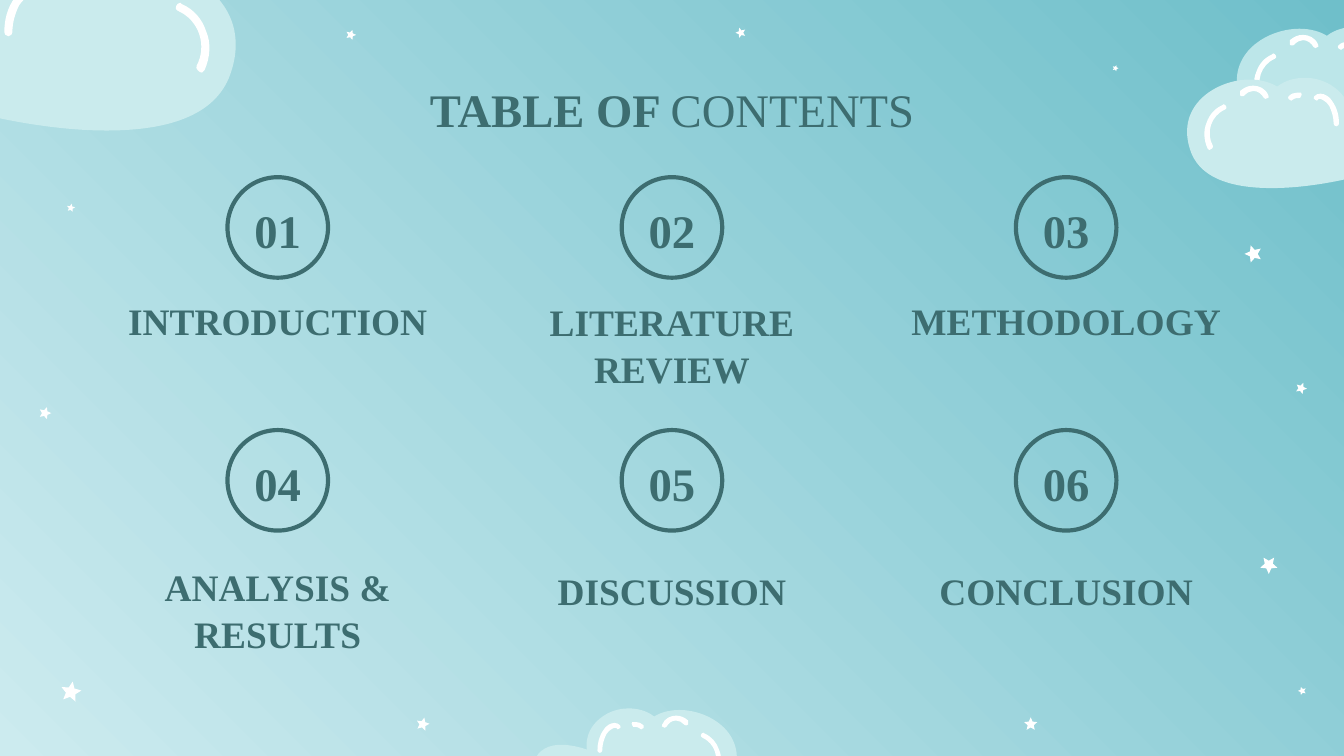
"""Build a table-of-contents slide with six numbered sections on a cloudy sky."""
import math
from dataclasses import dataclass

from lxml import etree
from pptx import Presentation
from pptx import util as u
from pptx.dml.color import RGBColor
from pptx.enum import shapes, text
from pptx.oxml import ns


@dataclass(frozen=True)
class Theme:
    font: str = "Times New Roman"
    ink: str = "3D6D70"
    white: str = "FFFFFF"
    cloud: str = "CAEBED"
    far_cloud: str = "BCE6E9"
    sky_low: str = "CCEBEF"
    sky_high: str = "6FBFCA"
    heading: int = 25
    label: int = 20


theme = Theme()
deck = Presentation()
deck.slide_width, deck.slide_height = u.Cm(25.4), u.Cm(14.29)
page = deck.slides.add_slide(deck.slide_layouts[5])


def draw_outline(points, color, curved=False):
    builder = page.shapes.build_freeform(*points[0])
    builder.add_line_segments(points[1:], close=True)
    shape = builder.convert_to_shape()
    shape.shadow.inherit = False
    shape.fill.solid()
    shape.fill.fore_color.rgb = RGBColor.from_string(color)
    shape.line.fill.background()
    if curved:
        lines = list(shape._element.iter(ns.qn("a:lnTo")))
        for first in range(0, len(lines) - 2, 3):
            curve = etree.Element(ns.qn("a:cubicBezTo"))
            lines[first].addprevious(curve)
            for line in lines[first:first + 3]:
                curve.append(line[0])
                line.getparent().remove(line)


def write_text(box, left, top, width, height, spans, size):
    box.left, box.top, box.width, box.height = (u.Cm(v) for v in (left, top, width, height))
    frame = box.text_frame
    frame.word_wrap = True
    frame.auto_size = text.MSO_AUTO_SIZE.NONE
    frame.vertical_anchor = text.MSO_ANCHOR.MIDDLE
    frame.margin_left = frame.margin_right = frame.margin_top = frame.margin_bottom = u.Cm(0.25)
    para = frame.paragraphs[0]
    para.alignment = text.PP_ALIGN.CENTER
    para.line_spacing = 1.05
    for words, bold in spans:
        span = para.add_run()
        span.text = words
        span.font.name, span.font.size, span.font.bold = theme.font, u.Pt(size), bold
        span.font.color.rgb = RGBColor.from_string(theme.ink)


page.background.fill.solid()
page.background.fill.fore_color.rgb = RGBColor.from_string(theme.cloud)
sky = page.shapes.add_shape(shapes.MSO_SHAPE.RECTANGLE, 0, 0, deck.slide_width, deck.slide_height)
sky.shadow.inherit = False
sky.line.fill.background()
sky.fill.gradient()
sky.fill.gradient_angle = 45
for stop, color in zip(sky.fill.gradient_stops, (theme.sky_low, theme.sky_high)):
    stop.color.rgb = RGBColor.from_string(color)

stars = [
    (23.69, 4.8, 0.17, -18), (24.61, 13.06, 0.08, -18), (23.98, 10.68, 0.17, 36),
    (6.63, 0.66, 0.1, 18), (0.85, 7.81, 0.12, 18), (14, 0.62, 0.1, -18),
    (1.34, 3.93, 0.08, 10), (7.99, 13.69, 0.13, 14), (1.34, 13.08, 0.2, 10),
    (19.48, 13.69, 0.13, 0), (24.59, 7.34, 0.11, 22), (21.08, 1.29, 0.06, 18),
]
for x, y, radius, tilt in stars:
    corners = []
    for corner in range(10):
        angle = math.radians(tilt + 36 * corner)
        reach = radius * (0.47 if corner % 2 else 1)
        corners.append((u.Cm(x + reach * math.sin(angle)), u.Cm(y - reach * math.cos(angle))))
    draw_outline(corners, theme.white)

cloud_units = 277
cloud_body = [
    (127, 0), (119, 0), (110, 2), (102, 6), (70, 23), (76, 51), (76, 51),
    (76, 51), (61, 45), (44, 45), (30, 45), (16, 50), (10, 67),
    (0, 99), (26, 115), (57, 115), (63, 115), (68, 114), (73, 113),
    (73, 113), (119, 125), (165, 125), (204, 125), (243, 117), (256, 86),
    (277, 33), (229, 2), (190, 2), (178, 2), (167, 5), (159, 10),
    (150, 3), (139, 0), (127, 0),
]
dash = [
    (137, 17), (136, 17), (134, 17), (132, 17), (131, 18), (131, 20), (132, 21),
    (132, 23), (134, 23), (134, 23), (136, 23), (139, 23), (140, 24),
    (141, 25), (142, 26), (143, 26), (145, 26), (148, 23), (146, 21),
    (143, 18), (140, 17), (137, 17),
]
left_glint = [
    (110, 18), (105, 18), (99, 22), (97, 26), (91, 34), (89, 43), (89, 52),
    (89, 53), (90, 55), (92, 55), (94, 55), (95, 53), (95, 52),
    (95, 45), (97, 38), (100, 32), (102, 29), (104, 27), (106, 26),
    (108, 25), (109, 24), (110, 24), (110, 24), (112, 24), (112, 24),
    (112, 25), (113, 26), (114, 26), (115, 26), (116, 26), (116, 25),
    (118, 24), (118, 23), (117, 21), (115, 19), (113, 18), (110, 18),
]
right_glint = [
    (220, 30), (217, 30), (215, 35), (218, 36), (234, 43), (240, 62), (232, 77),
    (231, 79), (234, 82), (236, 82), (236, 82), (237, 81), (238, 80),
    (242, 71), (243, 60), (239, 51), (236, 42), (230, 35), (221, 31),
    (221, 31), (220, 30), (220, 30),
]
top_glint = [
    (186, 9), (180, 9), (172, 12), (169, 20), (167, 21), (169, 24), (172, 24),
    (172, 24), (173, 23), (174, 23), (177, 18), (181, 15), (186, 15),
    (190, 15), (193, 17), (196, 20), (196, 21), (198, 21), (199, 21),
    (199, 21), (201, 21), (201, 20), (202, 18), (202, 17), (201, 15),
    (196, 11), (192, 9), (186, 9),
]
clouds = [
    (9.93, 13.39, 4.24, False, theme.cloud),
    (23.11, 0.51, 4.62, True, theme.far_cloud),
    (-2.18, -0.71, 7.04, False, theme.cloud),
    (22.17, 1.47, 4.62, True, theme.cloud),
]
for left, top, width, mirrored, color in clouds:
    scale = width / cloud_units
    for part in (cloud_body, dash, left_glint, right_glint, top_glint):
        points = [(u.Cm(left + scale * (cloud_units - x if mirrored else x)),
                   u.Cm(top + scale * y)) for x, y in part]
        xs, ys = zip(*points)
        if min(xs) < deck.slide_width and max(ys) > 0:
            draw_outline(points, color if part is cloud_body else theme.white, curved=True)

sections = [
    ("INTRODUCTION", 0.95), ("LITERATURE REVIEW", 1.9), ("METHODOLOGY", 0.95),
    ("ANALYSIS & RESULTS", 2.34), ("DISCUSSION", 1.6), ("CONCLUSION", 1.6),
]
circle_size, number_width, label_width = 1.9, 3.53, 6.5
for index, (label, label_height) in enumerate(sections):
    row, column = divmod(index, 3)
    center, top = 5.25 + 7.45 * column, 3.35 + 4.78 * row
    circle = page.shapes.add_shape(shapes.MSO_SHAPE.OVAL, u.Cm(center - circle_size / 2), u.Cm(top),
                                   u.Cm(circle_size), u.Cm(circle_size))
    circle.shadow.inherit = False
    circle.fill.background()
    circle.line.color.rgb = RGBColor.from_string(theme.ink)
    circle.line.width = u.Pt(2.25)
    write_text(page.shapes.add_textbox(0, 0, 0, 0), center - label_width / 2, top + 2.21,
               label_width, label_height, [(label, True)], theme.label)
    write_text(page.shapes.add_textbox(0, 0, 0, 0), center - number_width / 2, top + 0.33,
               number_width, 1.27, [(f"{index + 1:02}", True)], theme.heading)

title = page.shapes.title
page.shapes._spTree.append(title._element)
write_text(title, 2, 1.24, 21.4, 1.6, [("TABLE OF ", True), ("CONTENTS", False)], theme.heading)

deck.save("out.pptx")
